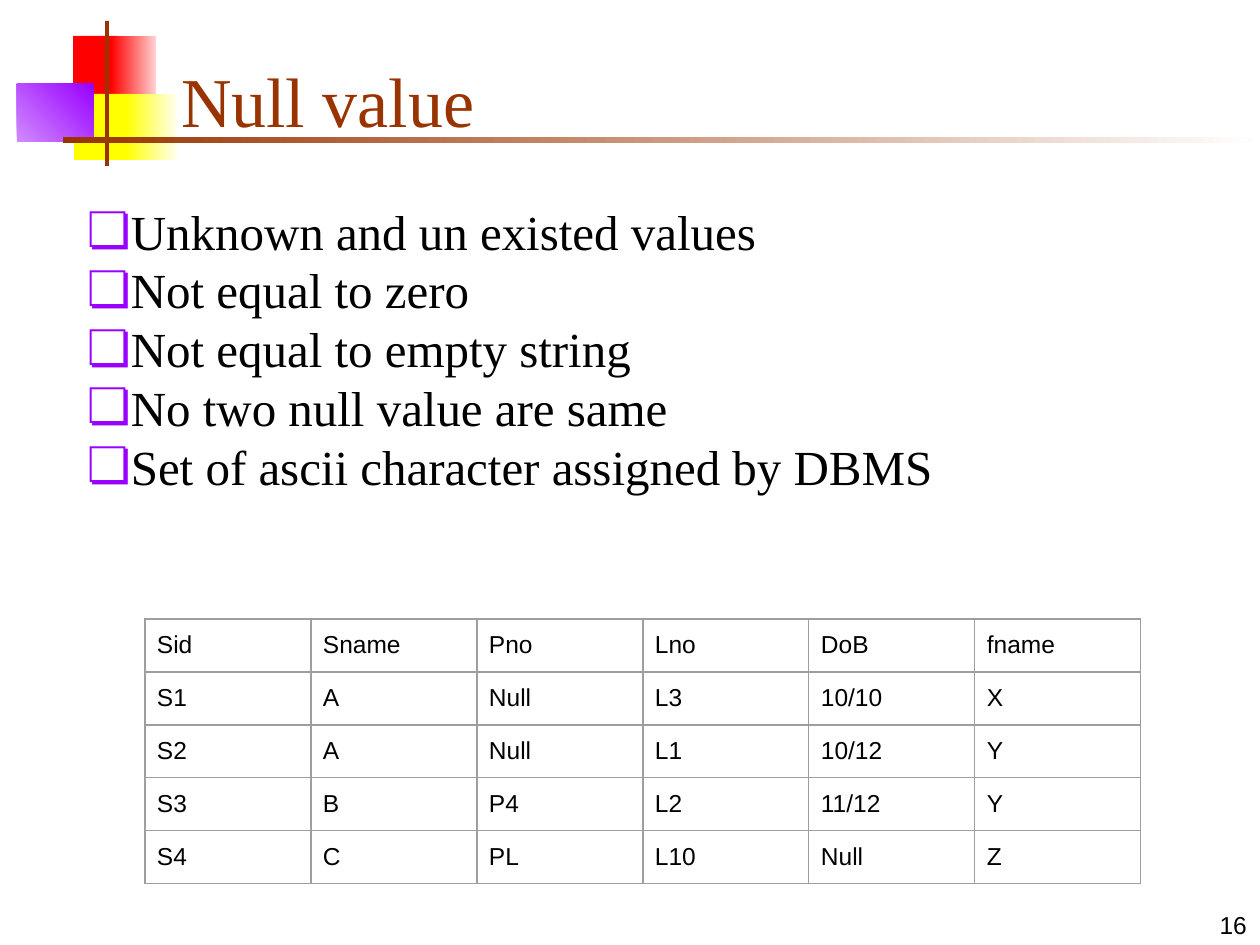
from lxml import etree
from pptx import Presentation
from pptx import util as u
from pptx.dml.color import RGBColor
from pptx.enum import shapes, text
from pptx.oxml.ns import qn

PX = 914400 / 126  # EMU in one px

THEME = dict(
    serif="Times New Roman", sans="Arial",
    title_size=40, body_size=28, small_size=14,
    text="000000", accent="993300", bullet="9900FF", border="9E9E9E",
    red="FF0000", pink="FFD1D1", yellow="FFFF00", cream="FFFFF0",
    lilac="D18BFF", white="FFFFFF",
)


def px(*lengths):
    return [u.Emu(round(n * PX)) for n in lengths]


def write(tf, lines, size="small_size", font="sans", colour="text",
          align=text.PP_ALIGN.LEFT, anchor=text.MSO_ANCHOR.TOP,
          insets=(13, 6, 13, 6), bullet=None, hang=0):
    tf.word_wrap = True
    tf.auto_size = text.MSO_AUTO_SIZE.NONE
    tf.vertical_anchor = anchor
    tf.margin_left, tf.margin_top, tf.margin_right, tf.margin_bottom = px(*insets)
    for i, line in enumerate(lines):
        p = tf.paragraphs[0] if i == 0 else tf.add_paragraph()
        p.alignment = align
        p.space_before = u.Pt(0)
        if bullet:
            pPr = p._p.get_or_add_pPr()
            indent, first = px(63, -hang)
            pPr.set("marL", str(indent))
            pPr.set("indent", str(first))
            clr = etree.SubElement(pPr, qn("a:buClr"))
            etree.SubElement(clr, qn("a:srgbClr"), val=THEME["bullet"])
            etree.SubElement(pPr, qn("a:buChar"), char=bullet)
        r = p.add_run()
        r.text = line
        r.font.size = u.Pt(THEME[size])
        r.font.name = THEME[font]
        r.font.color.rgb = RGBColor.from_string(THEME[colour])


prs = Presentation()
prs.slide_width, prs.slide_height = px(1260, 945)
s = prs.slides.add_slide(prs.slide_layouts[1])

# Corner blocks and title rule: box, colours, gradient angle
blocks = [
    ((73, 36, 44, 65), ["red"], 0),
    ((111, 36, 45, 65), ["red", "pink"], 0),
    ((74, 94, 58, 66), ["yellow"], 0),
    ((126, 94, 51, 66), ["yellow", "cream"], 0),
    ((17, 84, 77, 58), ["lilac", "bullet"], 45),
    ((105, 21, 4, 145), ["accent"], 0),
    ((63, 137, 1197, 6), ["accent", "white"], 0),
]
for box, colours, angle in blocks:
    sp = s.shapes.add_shape(shapes.MSO_SHAPE.RECTANGLE, *px(*box))
    sp.shadow.inherit = False
    sp.line.fill.background()
    if len(colours) == 1:
        sp.fill.solid()
        sp.fill.fore_color.rgb = RGBColor.from_string(THEME[colours[0]])
    else:
        sp.fill.gradient()
        sp.fill.gradient_angle = angle
        for stop, colour in zip(sp.fill.gradient_stops, colours):
            stop.color.rgb = RGBColor.from_string(THEME[colour])

# Title
title = s.shapes.title
title.left, title.top, title.width, title.height = px(168, 32, 1073, 116)
write(title.text_frame, ["Null value"], size="title_size", font="serif",
      colour="accent", anchor=text.MSO_ANCHOR.BOTTOM)

# Bullet list
body = s.placeholders[1]
body.left, body.top, body.width, body.height = px(53, 189, 1182, 656)
write(body.text_frame, [
    "Unknown and un existed values",
    "Not equal to zero",
    "Not equal to empty string",
    "No two null value are same",
    "Set of ascii character assigned by DBMS",
], size="body_size", font="serif", insets=(13, 12, 13, 6), bullet="❏", hang=42)

# Slide number
number = s.shapes.add_textbox(*px(998, 882, 262, 63))
write(number.text_frame, ["16"], align=text.PP_ALIGN.RIGHT,
      anchor=text.MSO_ANCHOR.BOTTOM)

# Student table
rows = [
    ["Sid", "Sname", "Pno", "Lno", "DoB", "fname"],
    ["S1", "A", "Null", "L3", "10/10", "X"],
    ["S2", "A", "Null", "L1", "10/12", "Y"],
    ["S3", "B", "P4", "L2", "11/12", "Y"],
    ["S4", "C", "PL", "L10", "Null", "Z"],
]
col_w, row_h = 166, 53
table = s.shapes.add_table(len(rows), len(rows[0]), *px(
    145, 619, col_w * len(rows[0]), row_h * len(rows))).table
table.first_row = table.horz_banding = False
for row, values in zip(table.rows, rows):
    for cell, value in zip(row.cells, values):
        write(cell.text_frame, [value])
        cell.margin_left, cell.margin_top, cell.margin_right, cell.margin_bottom = px(12, 12, 12, 12)
        cell.vertical_anchor = text.MSO_ANCHOR.TOP
        tcPr = cell._tc.get_or_add_tcPr()
        for side in ("lnL", "lnR", "lnT", "lnB"):
            ln = etree.SubElement(tcPr, qn("a:" + side), w=str(u.Pt(0.75)))
            fill = etree.SubElement(ln, qn("a:solidFill"))
            etree.SubElement(fill, qn("a:srgbClr"), val=THEME["border"])
        cell.fill.background()

prs.save("out.pptx")
